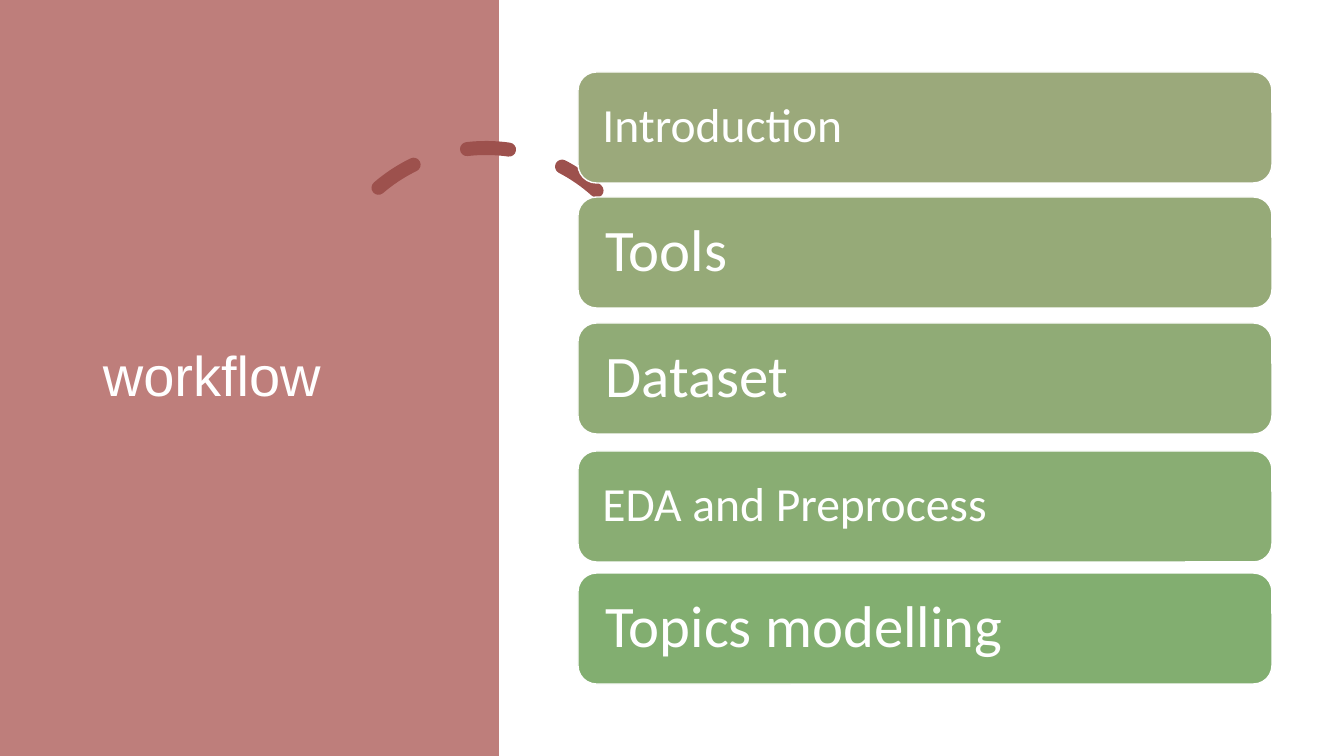
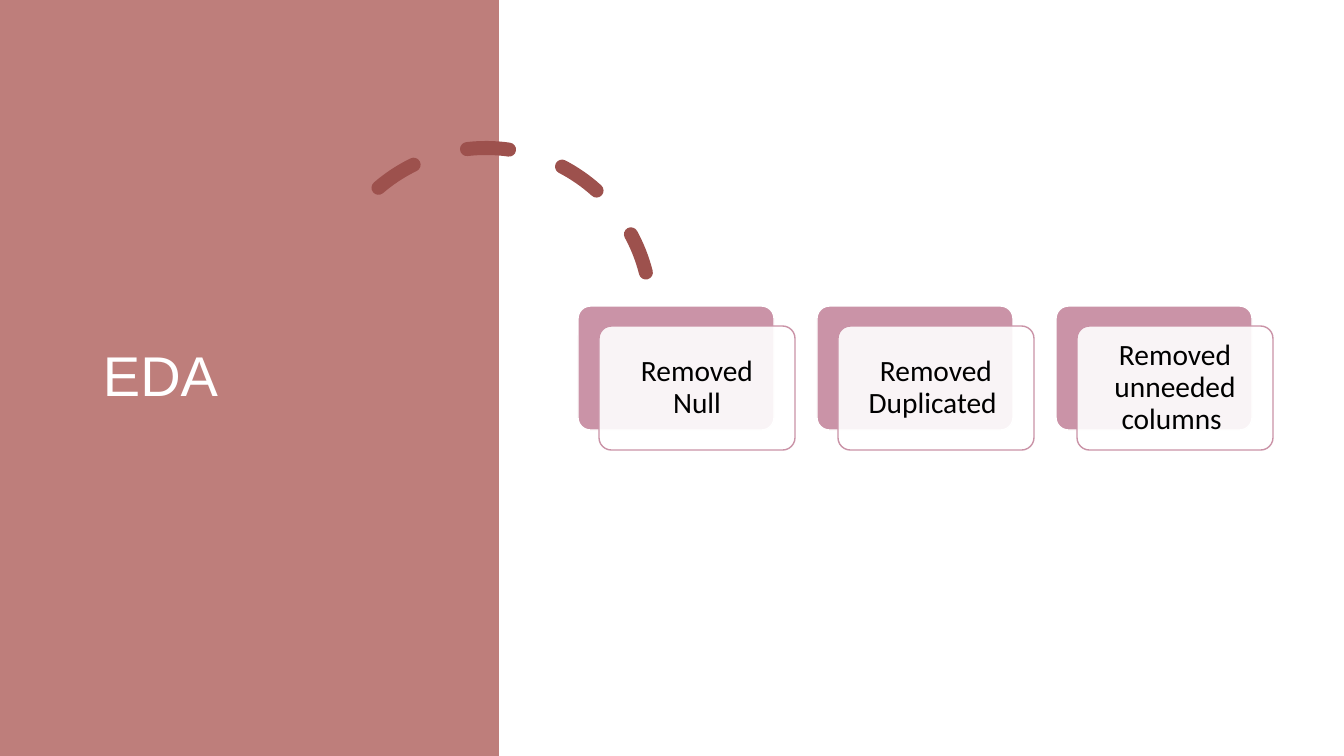
"""Build the workflow and EDA slides."""
from pptx import Presentation
from pptx.dml.color import RGBColor
from pptx.enum.dml import MSO_LINE
from pptx.enum.shapes import MSO_SHAPE
from pptx.enum.text import MSO_ANCHOR, PP_ALIGN
from pptx.oxml.ns import qn
from pptx.util import Emu, Pt
from lxml.etree import SubElement

SLIDE_W, SLIDE_H = 1344, 756
EMU_PER_PX = 12192000 / SLIDE_W
WHITE, BLACK, PANEL, ARC, PINK = "FFFFFF", "000000", "BE7E7B", "9D514D", "CA93A7"

WORKFLOW = [
    ("Introduction", 72, 34, "9BA97B"),
    ("Tools", 197, 42, "96AA78"),
    ("Dataset", 323, 42, "90AB76"),
    ("EDA and Preprocess\u00a0", 451, 34, "89AD73"),
    ("Topics modelling", 573, 42, "82AE70"),
]
EDA_STEPS = ["Removed Null", "Removed Duplicated ", "Removed unneeded columns "]

CONTENT_X = 578
BAR_W, BAR_H = 694, 111
BAR_INSETS = {34: 19, 42: 22}
CARD_Y, CARD_W, CARD_H, CARD_PITCH = 306, 196, 124, 239
CARD_SHIFT_X, CARD_SHIFT_Y, CARD_INSET = 21, 20, 12


def px(n):
    return Emu(round(n * EMU_PER_PX))


def rgb(color):
    return RGBColor.from_string(color)


def add_box(s, kind, box, fill=None, line=None, width=1):
    sp = s.shapes.add_shape(kind, *map(px, box))
    sp.shadow.inherit = False
    if fill:
        sp.fill.solid()
        sp.fill.fore_color.rgb = rgb(fill)
    else:
        sp.fill.background()
    if line:
        sp.line.color.rgb = rgb(line)
        sp.line.width = Pt(width)
    else:
        sp.line.fill.background()
    return sp


def set_text(sp, text, size, font, color, inset, align=PP_ALIGN.LEFT):
    tf = sp.text_frame
    tf.word_wrap = True
    tf.vertical_anchor = MSO_ANCHOR.MIDDLE
    tf.margin_left = tf.margin_right = px(inset)
    tf.margin_top = tf.margin_bottom = px(5)
    p = tf.paragraphs[0]
    p.text = text
    p.alignment = align
    p.line_spacing = 0.9
    r = p.runs[0]
    r.font.size = Pt(size)
    r.font.name = font
    r.font.color.rgb = rgb(color)


def add_titled_slide(prs, title):
    s = prs.slides.add_slide(prs.slide_layouts[6])
    add_box(s, MSO_SHAPE.RECTANGLE, (0, 0, 499, SLIDE_H), PANEL)
    arc = add_box(s, MSO_SHAPE.ARC, (321, 148, 330, 330), line=ARC, width=10)
    arc.adjustments[0] = 146.13
    arc.adjustments[1] = 0
    arc.rotation = 345.8
    arc.line.dash_style = MSO_LINE.DASH
    arc.element.spPr.find(qn("a:ln")).set("cap", "rnd")
    heading = s.shapes.add_textbox(*map(px, (93, 71, 326, 614)))
    set_text(heading, title, 40, "Arial", WHITE, 10)
    return s


def add_bar(s, text, top, size, color):
    bar = add_box(s, MSO_SHAPE.ROUNDED_RECTANGLE, (CONTENT_X, top, BAR_W, BAR_H), color, WHITE)
    set_text(bar, text, size, "Calibri", WHITE, BAR_INSETS[size])


def add_card(s, i, text):
    x = CONTENT_X + i * CARD_PITCH
    back = add_box(s, MSO_SHAPE.ROUNDED_RECTANGLE, (x, CARD_Y, CARD_W, CARD_H), PINK, WHITE)
    front = add_box(s, MSO_SHAPE.ROUNDED_RECTANGLE,
                    (x + CARD_SHIFT_X, CARD_Y + CARD_SHIFT_Y, CARD_W, CARD_H), WHITE, PINK)
    for sp in (back, front):
        sp.adjustments[0] = 0.1
    white = front.element.spPr.find(qn("a:solidFill")).find(qn("a:srgbClr"))
    SubElement(white, qn("a:alpha"), val="90000")
    set_text(front, text, 21, "Calibri", BLACK, CARD_INSET, PP_ALIGN.CENTER)


def main():
    prs = Presentation()
    prs.slide_width, prs.slide_height = px(SLIDE_W), px(SLIDE_H)
    s = add_titled_slide(prs, "workflow")
    for row in WORKFLOW:
        add_bar(s, *row)
    s = add_titled_slide(prs, "EDA")
    for i, step in enumerate(EDA_STEPS):
        add_card(s, i, step)
    prs.save("out.pptx")


if __name__ == "__main__":
    main()
